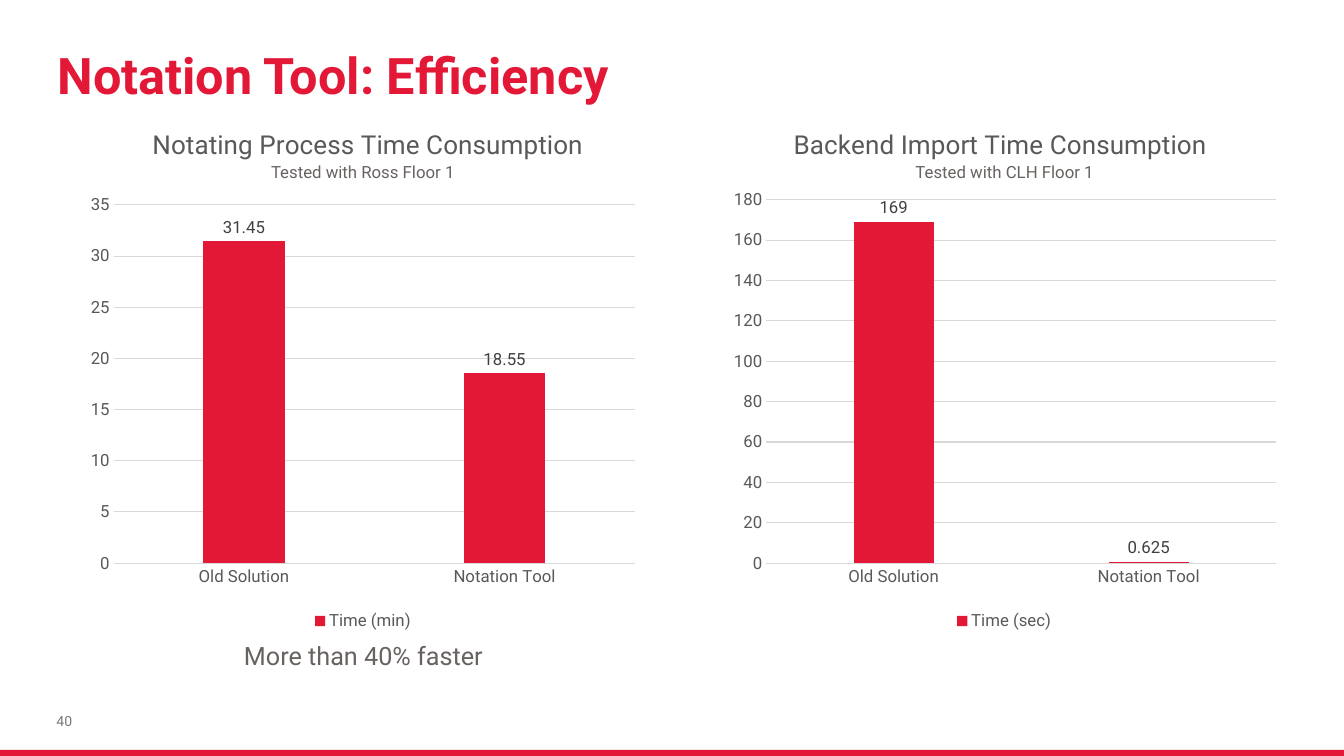
from dataclasses import dataclass

from lxml.etree import SubElement
from pptx import Presentation
from pptx.chart.chart import Chart
from pptx.chart.data import CategoryChartData
from pptx.dml.color import RGBColor
from pptx.enum.chart import XL_CHART_TYPE, XL_LABEL_POSITION, XL_LEGEND_POSITION, XL_TICK_MARK
from pptx.enum.shapes import MSO_SHAPE
from pptx.enum.text import MSO_ANCHOR, MSO_AUTO_SIZE, PP_ALIGN
from pptx.oxml.ns import qn
from pptx.slide import Slide
from pptx.text.text import Font, TextFrame
from pptx.util import Inches, Pt


@dataclass(frozen=True)
class Theme:
    font: str = "Roboto"
    red: str = "E31837"
    caption: str = "686361"
    page: str = "797979"
    axis: str = "595959"
    value: str = "404040"
    grid: str = "D9D9D9"
    title_size: float = 36
    chart_title_size: float = 18.6
    callout_size: float = 18
    label_size: float = 12
    page_size: float = 10


@dataclass(frozen=True)
class Box:
    left: float
    top: float
    width: float
    height: float

    def inches(self) -> tuple[Inches, ...]:
        return tuple(Inches(v) for v in (self.left, self.top, self.width, self.height))


@dataclass(frozen=True)
class Caption:
    text: str
    box: Box
    size: float
    color: str
    align: PP_ALIGN = PP_ALIGN.CENTER
    inset: bool = True
    wrap: bool = True


@dataclass(frozen=True)
class TimingChart:
    title: str
    series: str
    times: tuple[float, float]
    left: float
    axis_max: float
    axis_step: float
    plot_layout: dict[str, float]


THEME = Theme()
SOLUTIONS = ("Old Solution", "Notation Tool")
CHART_TOP, CHART_WIDTH, CHART_HEIGHT = 1.22, 5.62, 5.08
CHART_TITLE_LAYOUT = {"x": 0.12, "y": 0}

CHARTS = (
    TimingChart("Notating Process Time Consumption", "Time (min)", (31.45, 18.55), 0.79, 35, 5,
                {"x": 0.06, "y": 0.16, "w": 0.92, "h": 0.7}),
    TimingChart("Backend Import Time Consumption", "Time (sec)", (169, 0.625), 7.15, 180, 20,
                {"x": 0.08, "y": 0.15, "w": 0.9, "h": 0.71}),
)
CAPTIONS = (
    Caption("Tested with Ross Floor 1", Box(2.53, 1.56, 2.14, 0.3),
            THEME.label_size, THEME.caption, wrap=False),
    Caption("Tested with CLH Floor 1", Box(8.96, 1.56, 2.01, 0.3),
            THEME.label_size, THEME.caption, wrap=False),
    Caption("More than 40% faster", Box(2.13, 6.3, 2.95, 0.4),
            THEME.callout_size, THEME.caption),
    Caption("40", Box(0.56, 6.95, 0.45, 0.4), THEME.page_size, THEME.page,
            PP_ALIGN.LEFT, inset=False),
)


def rgb(color: str) -> RGBColor:
    return RGBColor.from_string(color)


def style_font(font: Font, size: float, color: str, bold: bool = False) -> None:
    font.name = THEME.font
    font.size = Pt(size)
    font.bold = bold
    font.color.rgb = rgb(color)


def clear_insets(frame: TextFrame) -> None:
    frame.margin_left = frame.margin_right = frame.margin_top = frame.margin_bottom = 0


def add_title(slide: Slide) -> None:
    title = slide.shapes.title
    title.left, title.top, title.width, title.height = Box(0.57, 0.25, 12.21, 0.79).inches()
    frame = title.text_frame
    frame.text = "Notation Tool: Efficiency"
    frame.auto_size = MSO_AUTO_SIZE.NONE
    frame.vertical_anchor = MSO_ANCHOR.BOTTOM
    clear_insets(frame)
    heading = frame.paragraphs[0]
    heading.alignment = PP_ALIGN.LEFT
    heading.line_spacing = 0.85
    style_font(heading.font, THEME.title_size, THEME.red, bold=True)


def add_caption(slide: Slide, caption: Caption) -> None:
    frame = slide.shapes.add_textbox(*caption.box.inches()).text_frame
    frame.word_wrap = caption.wrap
    if not caption.inset:
        clear_insets(frame)
        frame.vertical_anchor = MSO_ANCHOR.MIDDLE
    frame.text = caption.text
    line = frame.paragraphs[0]
    line.alignment = caption.align
    style_font(line.font, caption.size, caption.color)


def place_chart_part(part, index: int, position: dict[str, float], inner: bool = False) -> None:
    """Give a chart title or plot area a fixed place, in fractions of the chart."""
    for automatic in part.findall(qn("c:layout")):
        part.remove(automatic)
    layout = SubElement(part, qn("c:layout"))
    part.insert(index, layout)
    manual = SubElement(layout, qn("c:manualLayout"))
    if inner:
        SubElement(manual, qn("c:layoutTarget")).set("val", "inner")
    for side in ("x", "y"):
        SubElement(manual, qn(f"c:{side}Mode")).set("val", "edge")
    for side, fraction in position.items():
        SubElement(manual, qn(f"c:{side}")).set("val", str(fraction))


def style_axes(chart: Chart, timing: TimingChart) -> None:
    for axis in (chart.category_axis, chart.value_axis):
        axis.major_tick_mark = axis.minor_tick_mark = XL_TICK_MARK.NONE
        style_font(axis.tick_labels.font, THEME.label_size, THEME.axis)
    values = chart.value_axis
    values.minimum_scale, values.maximum_scale = 0, timing.axis_max
    values.major_unit = timing.axis_step
    values.format.line.fill.background()
    for line in (chart.category_axis.format.line, values.major_gridlines.format.line):
        line.color.rgb = rgb(THEME.grid)
        line.width = Pt(0.75)


def add_timing_chart(slide: Slide, timing: TimingChart) -> None:
    data = CategoryChartData()
    data.categories = SOLUTIONS
    data.add_series(timing.series, timing.times)
    box = Box(timing.left, CHART_TOP, CHART_WIDTH, CHART_HEIGHT)
    chart = slide.shapes.add_chart(XL_CHART_TYPE.COLUMN_CLUSTERED, *box.inches(), data).chart
    style_font(chart.font, THEME.label_size, THEME.axis)

    heading = chart.chart_title.text_frame
    heading.text = timing.title
    style_font(heading.paragraphs[0].font, THEME.chart_title_size, THEME.axis)
    place_chart_part(chart.chart_title.element, 1, CHART_TITLE_LAYOUT)
    plot_area = chart.element.find(f".//{qn('c:plotArea')}")
    place_chart_part(plot_area, 0, timing.plot_layout, inner=True)

    style_axes(chart, timing)
    chart.has_legend = True
    chart.legend.position = XL_LEGEND_POSITION.BOTTOM
    chart.legend.include_in_layout = False
    style_font(chart.legend.font, THEME.label_size, THEME.axis)

    plot = chart.plots[0]
    plot.vary_by_categories = False
    plot.gap_width, plot.overlap = 219, -27
    bars = plot.series[0]
    bars.format.fill.solid()
    bars.format.fill.fore_color.rgb = rgb(THEME.red)
    labels = bars.data_labels
    labels.show_value = True
    labels.position = XL_LABEL_POSITION.OUTSIDE_END
    style_font(labels.font, THEME.label_size, THEME.value)


def add_bottom_band(slide: Slide) -> None:
    band = slide.shapes.add_shape(MSO_SHAPE.RECTANGLE, *Box(0, 7.44, 13.33, 0.06).inches())
    band.shadow.inherit = False
    band.fill.solid()
    band.fill.fore_color.rgb = rgb(THEME.red)
    band.line.fill.background()


def main() -> None:
    deck = Presentation()
    deck.slide_width, deck.slide_height = Inches(13.33), Inches(7.5)
    slide = deck.slides.add_slide(deck.slide_layouts[5])
    add_bottom_band(slide)
    add_title(slide)
    for timing in CHARTS:
        add_timing_chart(slide, timing)
    for caption in CAPTIONS:
        add_caption(slide, caption)
    deck.save("out.pptx")


if __name__ == "__main__":
    main()
